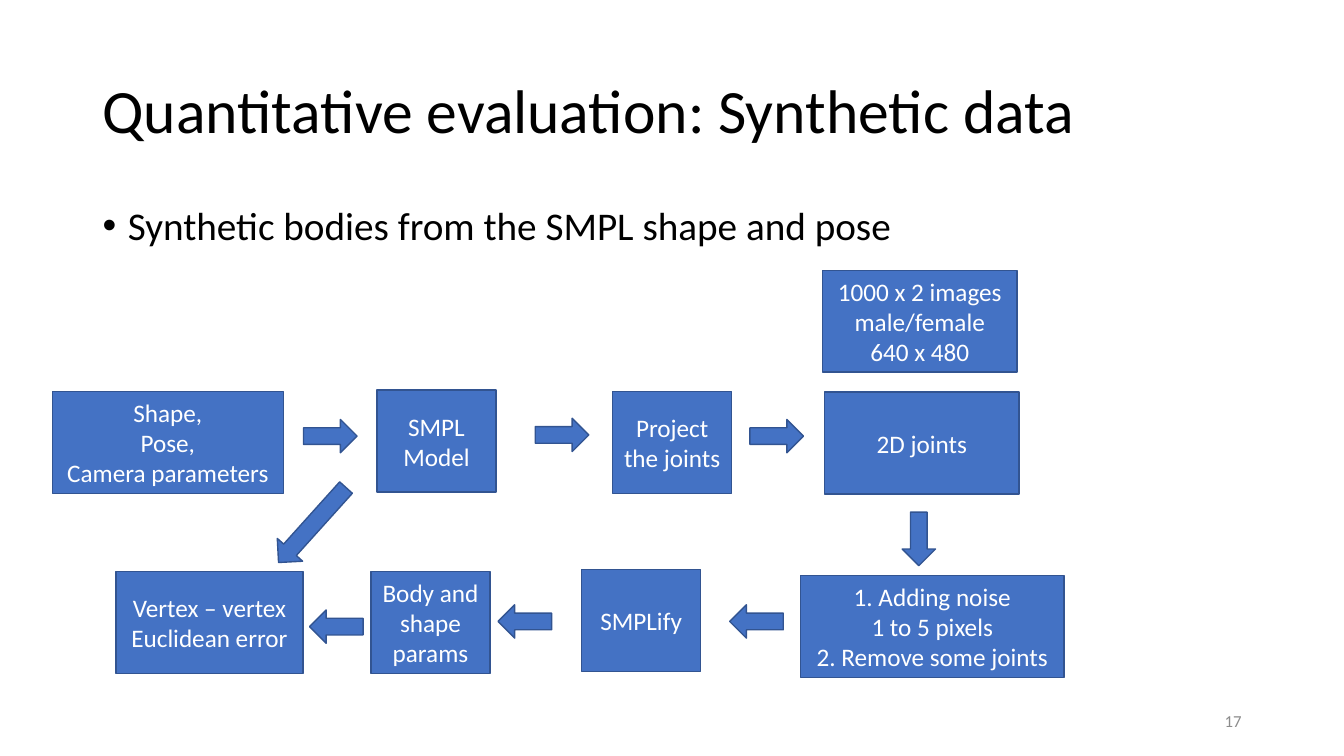
from dataclasses import dataclass

from pptx import Presentation
from pptx.dml.color import RGBColor
from pptx.enum.shapes import MSO_SHAPE
from pptx.enum.text import MSO_ANCHOR, MSO_AUTO_SIZE, PP_ALIGN
from pptx.util import Cm, Pt

RECTANGLE, RIGHT_ARROW = MSO_SHAPE.RECTANGLE, MSO_SHAPE.RIGHT_ARROW
LEFT, CENTER, RIGHT = PP_ALIGN.LEFT, PP_ALIGN.CENTER, PP_ALIGN.RIGHT
TOP, MIDDLE = MSO_ANCHOR.TOP, MSO_ANCHOR.MIDDLE
NO_AUTOFIT = MSO_AUTO_SIZE.NONE

COLORS = {
    "text": "000000",
    "page": "8C8C8C",
    "fill": "4472C4",
    "outline": "325491",
    "label": "FFFFFF",
}
STEP_HEIGHT = 2.57
NARROW = 3.0
HEADING_FORMAT = {"alignment": LEFT, "line_spacing": 0.9, "space_before": Pt(0)}
BULLET_FORMAT = {"alignment": LEFT, "line_spacing": 0.9, "space_before": Pt(10)}


@dataclass
class Step:
    """A box of the pipeline; lengths in centimetres."""
    lines: list[str]
    left: float
    top: float
    width: float = NARROW


@dataclass
class Arrow:
    """A block arrow, turned clockwise by rotation degrees."""
    left: float
    top: float
    rotation: float = 0
    width: float = 1.35
    height: float = 0.84


STEPS = [
    Step(["Shape,", "Pose,", "Camera parameters"], 1.32, 9.86, 5.82),
    Step(["SMPL", "Model"], 9.5, 9.83),
    Step(["Project the joints"], 15.44, 9.86),
    Step(["2D joints"], 20.78, 9.88, 4.9),
    Step(["1000 x 2 images male/female", "640 x 480"], 20.73, 6.81, 4.9),
    Step(["1. Adding noise", "1 to 5 pixels", "2. Remove some joints"],
         20.17, 14.5, 6.65),
    Step(["SMPLify"], 14.66, 14.35),
    Step(["Body and shape params"], 9.35, 14.4),
    Step(["Vertex – vertex Euclidean error"], 2.92, 14.4, 4.72),
]
ARROWS = [
    Arrow(7.65, 10.57),
    Arrow(13.49, 10.54),
    Arrow(18.9, 10.57),
    Arrow(22.48, 13.16, 90),
    Arrow(18.39, 15.24, 180),
    Arrow(12.55, 15.24, 180),
    Arrow(7.8, 15.37, 180),
    Arrow(6.6, 12.8, 132, 2.54, 0.86),
]


def color(role: str) -> RGBColor:
    return RGBColor.from_string(COLORS[role])


def place(shape, left: float, top: float, width: float, height: float) -> None:
    box = {"left": left, "top": top, "width": width, "height": height}
    for side, length in box.items():
        setattr(shape, side, Cm(length))


def write(shape, lines: list[str], size: float, role: str, anchor,
          paragraph_format: dict) -> None:
    frame = shape.text_frame
    frame.text = "\n".join(lines)
    frame_format = {"word_wrap": True, "auto_size": NO_AUTOFIT,
                    "vertical_anchor": anchor}
    for name, value in frame_format.items():
        setattr(frame, name, value)
    for paragraph in frame.paragraphs:
        for name, value in paragraph_format.items():
            setattr(paragraph, name, value)
        for run in paragraph.runs:
            run.font.name = "Calibri"
            run.font.size = Pt(size)
            run.font.color.rgb = color(role)


def add_block(slide, preset, left: float, top: float, width: float,
              height: float):
    block = slide.shapes.add_shape(
        preset, Cm(left), Cm(top), Cm(width), Cm(height))
    block.shadow.inherit = False
    block.fill.solid()
    block.fill.fore_color.rgb = color("fill")
    block.line.color.rgb = color("outline")
    block.line.width = Pt(1)
    return block


def add_step(slide, step: Step) -> None:
    block = add_block(slide, RECTANGLE, step.left, step.top, step.width,
                      STEP_HEIGHT)
    write(block, step.lines, 18, "label", MIDDLE, {"alignment": CENTER})


def add_arrow(slide, arrow: Arrow) -> None:
    block = add_block(slide, RIGHT_ARROW, arrow.left, arrow.top, arrow.width,
                      arrow.height)
    block.rotation = arrow.rotation


def main() -> None:
    deck = Presentation()
    deck.slide_width, deck.slide_height = Cm(33.87), Cm(19.05)
    slide = deck.slides.add_slide(deck.slide_layouts[1])

    heading = slide.shapes.title
    place(heading, 2.33, 1.01, 29.21, 3.68)
    write(heading, ["Quantitative evaluation: Synthetic data"], 44, "text",
          MIDDLE, HEADING_FORMAT)

    summary = slide.placeholders[1]
    place(summary, 2.33, 5.07, 29.21, 12.09)
    write(summary, ["Synthetic bodies from the SMPL shape and pose"], 28,
          "text", TOP, BULLET_FORMAT)
    for paragraph in summary.text_frame.paragraphs:
        properties = paragraph._p.get_or_add_pPr()
        properties.set("marL", str(Cm(0.64)))
        properties.set("indent", str(-Cm(0.64)))

    page_number = slide.shapes.add_textbox(
        Cm(23.92), Cm(17.66), Cm(7.62), Cm(1.01))
    write(page_number, ["17"], 12, "page", MIDDLE, {"alignment": RIGHT})

    for step in STEPS:
        add_step(slide, step)
    for arrow in ARROWS:
        add_arrow(slide, arrow)

    deck.save("out.pptx")


if __name__ == "__main__":
    main()
